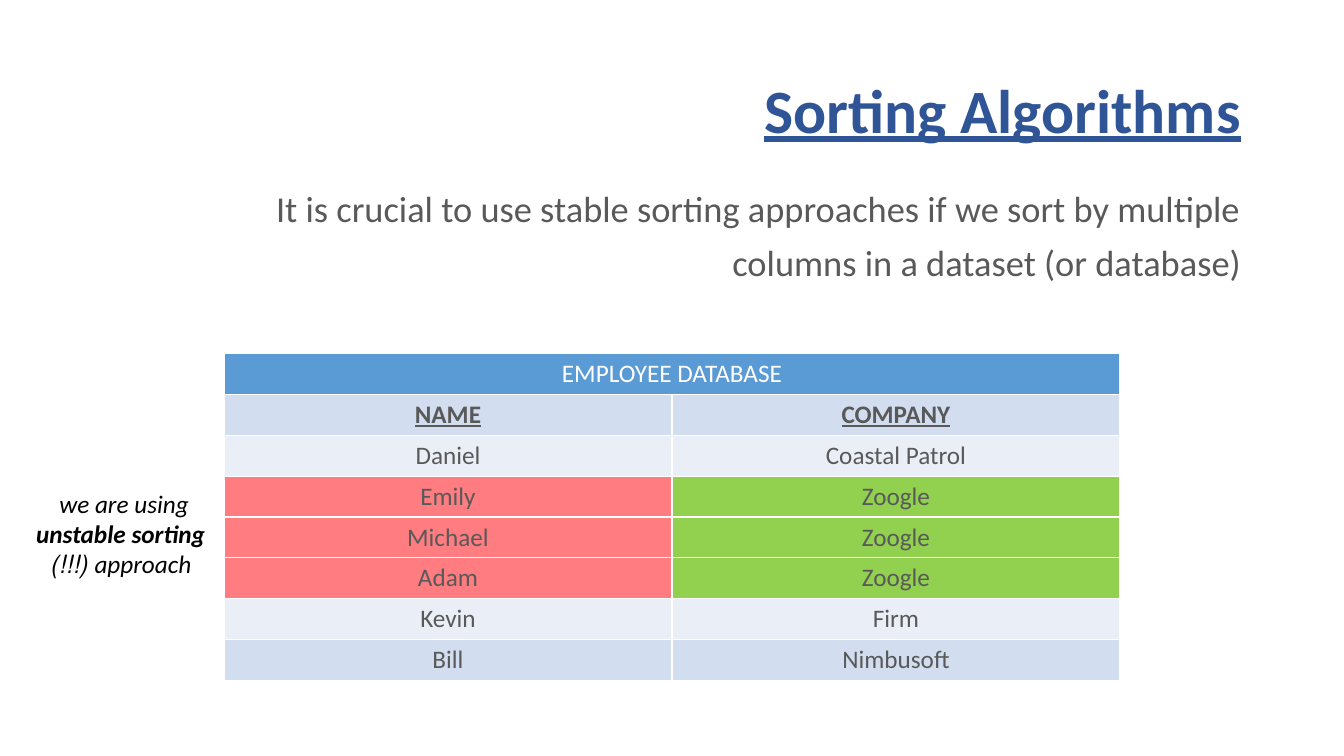
"""Build the slide on stable sorting with its employee table."""
from dataclasses import dataclass

from pptx import Presentation
from pptx.dml.color import RGBColor
from pptx.enum.text import MSO_ANCHOR, MSO_AUTO_SIZE, PP_ALIGN
from pptx.oxml.ns import qn
from pptx.util import Pt

FONT = "Calibri"
NAVY = RGBColor(0x2F, 0x55, 0x97)
GREY = RGBColor(0x59, 0x59, 0x59)
BLACK = RGBColor(0x00, 0x00, 0x00)
WHITE = RGBColor(0xFF, 0xFF, 0xFF)
BLUE = RGBColor(0x5B, 0x9B, 0xD5)
BAND_DARK = RGBColor(0xD2, 0xDE, 0xEF)
BAND_LIGHT = RGBColor(0xEA, 0xEF, 0xF7)
RED = RGBColor(0xFF, 0x7C, 0x80)
GREEN = RGBColor(0x92, 0xD0, 0x50)


@dataclass
class Style:
    size: float
    color: RGBColor
    align: PP_ALIGN = PP_ALIGN.CENTER
    bold: bool = False
    italic: bool = False
    underline: bool = False


@dataclass
class Row:
    name: str
    company: str
    name_fill: RGBColor
    company_fill: RGBColor
    heading: bool = False


TITLE = Style(44, NAVY, PP_ALIGN.RIGHT, bold=True, underline=True)
BODY = Style(26, GREY, PP_ALIGN.RIGHT)
TABLE_TITLE = Style(18, WHITE)
HEADING = Style(18, GREY, bold=True, underline=True)
ENTRY = Style(18, GREY)
NOTE = Style(18, BLACK, italic=True)
NOTE_BOLD = Style(18, BLACK, bold=True, italic=True)

ROWS = [
    Row("NAME", "COMPANY", BAND_DARK, BAND_DARK, heading=True),
    Row("Daniel", "Coastal Patrol", BAND_LIGHT, BAND_LIGHT),
    Row("Emily", "Zoogle", RED, GREEN),
    Row("Michael", "Zoogle", RED, GREEN),
    Row("Adam", "Zoogle", RED, GREEN),
    Row("Kevin", "Firm", BAND_LIGHT, BAND_LIGHT),
    Row("Bill", "Nimbusoft", BAND_DARK, BAND_DARK),
]
BODY_LINES = [
    "It is crucial to use stable sorting approaches if we sort by multiple",
    "columns in a dataset (or database)",
]
NOTE_LINES = [
    ("we are using ", NOTE),
    ("unstable sorting", NOTE_BOLD),
    ("approach (!!!)", NOTE),
]


def place(s, left: float, top: float, width: float, height: float) -> None:
    s.left, s.top, s.width, s.height = Pt(left), Pt(top), Pt(width), Pt(height)


def write(p, text: str, style: Style) -> None:
    p.text = text
    p.alignment = style.align
    p._p.get_or_add_pPr().set("rtl", "1")
    font = p.font
    font.name, font.size = FONT, Pt(style.size)
    font.color.rgb = style.color
    font.bold, font.italic, font.underline = style.bold, style.italic, style.underline


def write_lines(tf, lines: list[tuple[str, Style]]) -> None:
    for i, (text, style) in enumerate(lines):
        p = tf.add_paragraph() if i else tf.paragraphs[0]
        write(p, text, style)


def fill_cell(cell, text: str, style: Style, color: RGBColor) -> None:
    cell.fill.solid()
    cell.fill.fore_color.rgb = color
    write(cell.text_frame.paragraphs[0], text, style)


def add_title(s) -> None:
    title = s.shapes.title
    place(title, 66, 28.75, 828, 104.4)
    tf = title.text_frame
    tf.auto_size = MSO_AUTO_SIZE.NONE
    tf.vertical_anchor = MSO_ANCHOR.MIDDLE
    write(tf.paragraphs[0], "Sorting Algorithms", TITLE)
    tf.paragraphs[0].line_spacing = 0.9


def add_body(s) -> None:
    body = s.placeholders[1]
    place(body, 66, 133.2, 828, 378)
    tf = body.text_frame
    tf.auto_size = MSO_AUTO_SIZE.NONE
    write_lines(tf, [(line, BODY) for line in BODY_LINES])
    for p in tf.paragraphs:
        p.line_spacing, p.space_before = 0.9, Pt(10)
        pPr = p._p.get_or_add_pPr()
        pPr.set("marL", "0")
        pPr.set("indent", "0")
        bullet = pPr.makeelement(qn("a:buNone"), {})
        pPr.find(qn("a:defRPr")).addprevious(bullet)


def add_employees(s) -> None:
    count = len(ROWS) + 1
    frame = s.shapes.add_table(count, 2, Pt(160), Pt(252.5), Pt(640), Pt(29.2 * count))
    table = frame.table
    table.cell(0, 0).merge(table.cell(0, 1))
    fill_cell(table.cell(0, 0), "EMPLOYEE DATABASE", TABLE_TITLE, BLUE)
    for i, row in enumerate(ROWS, start=1):
        style = HEADING if row.heading else ENTRY
        fill_cell(table.cell(i, 0), row.name, style, row.name_fill)
        fill_cell(table.cell(i, 1), row.company, style, row.company_fill)


def add_note(s) -> None:
    tf = s.shapes.add_textbox(Pt(17.8), Pt(345), Pt(136.6), Pt(72.7)).text_frame
    tf.word_wrap = False
    tf.auto_size = MSO_AUTO_SIZE.SHAPE_TO_FIT_TEXT
    write_lines(tf, NOTE_LINES)


def main() -> None:
    prs = Presentation()
    prs.slide_width, prs.slide_height = Pt(960), Pt(540)
    s = prs.slides.add_slide(prs.slide_layouts[1])
    add_title(s)
    add_body(s)
    add_employees(s)
    add_note(s)
    prs.save("out.pptx")


if __name__ == "__main__":
    main()
